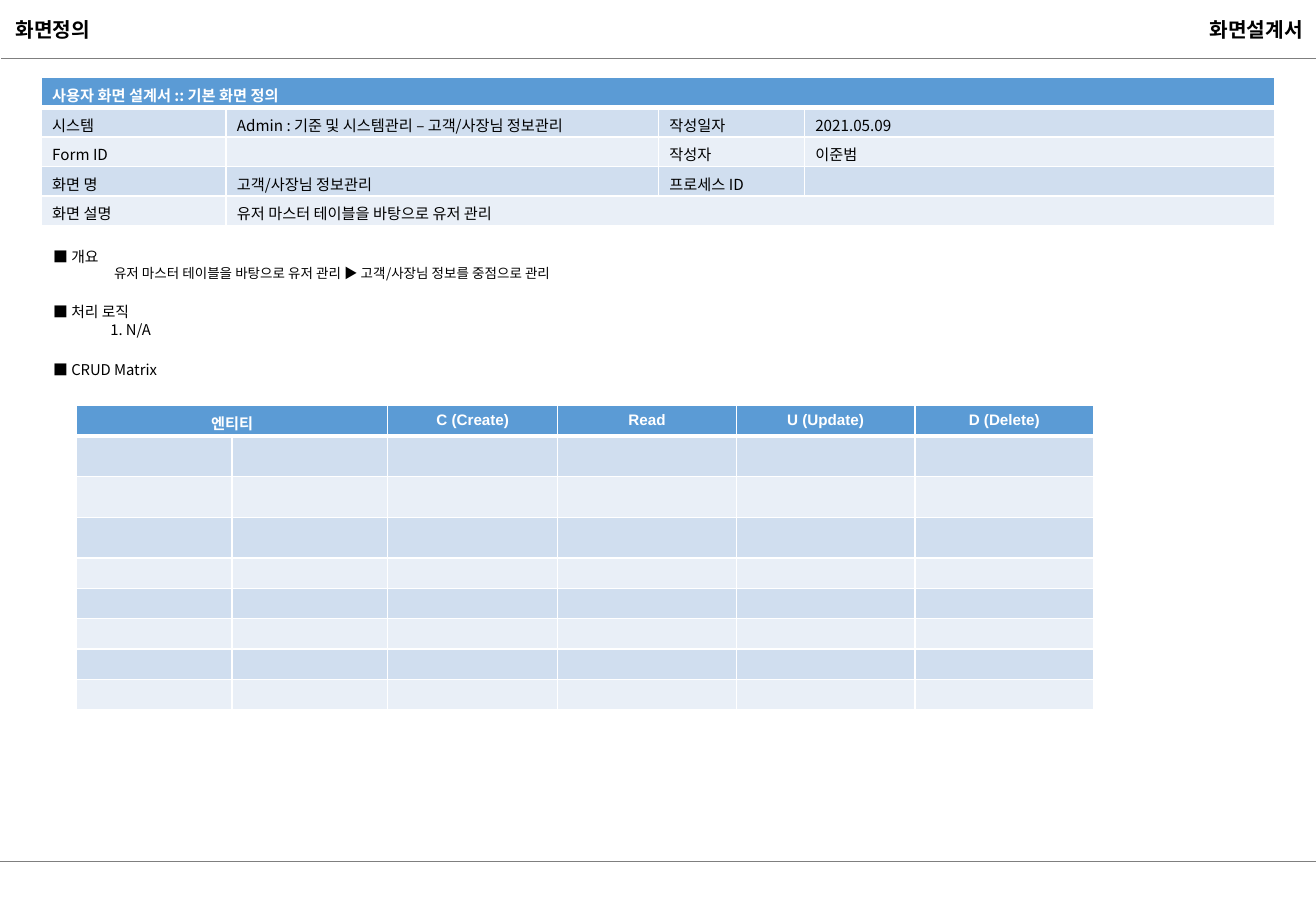
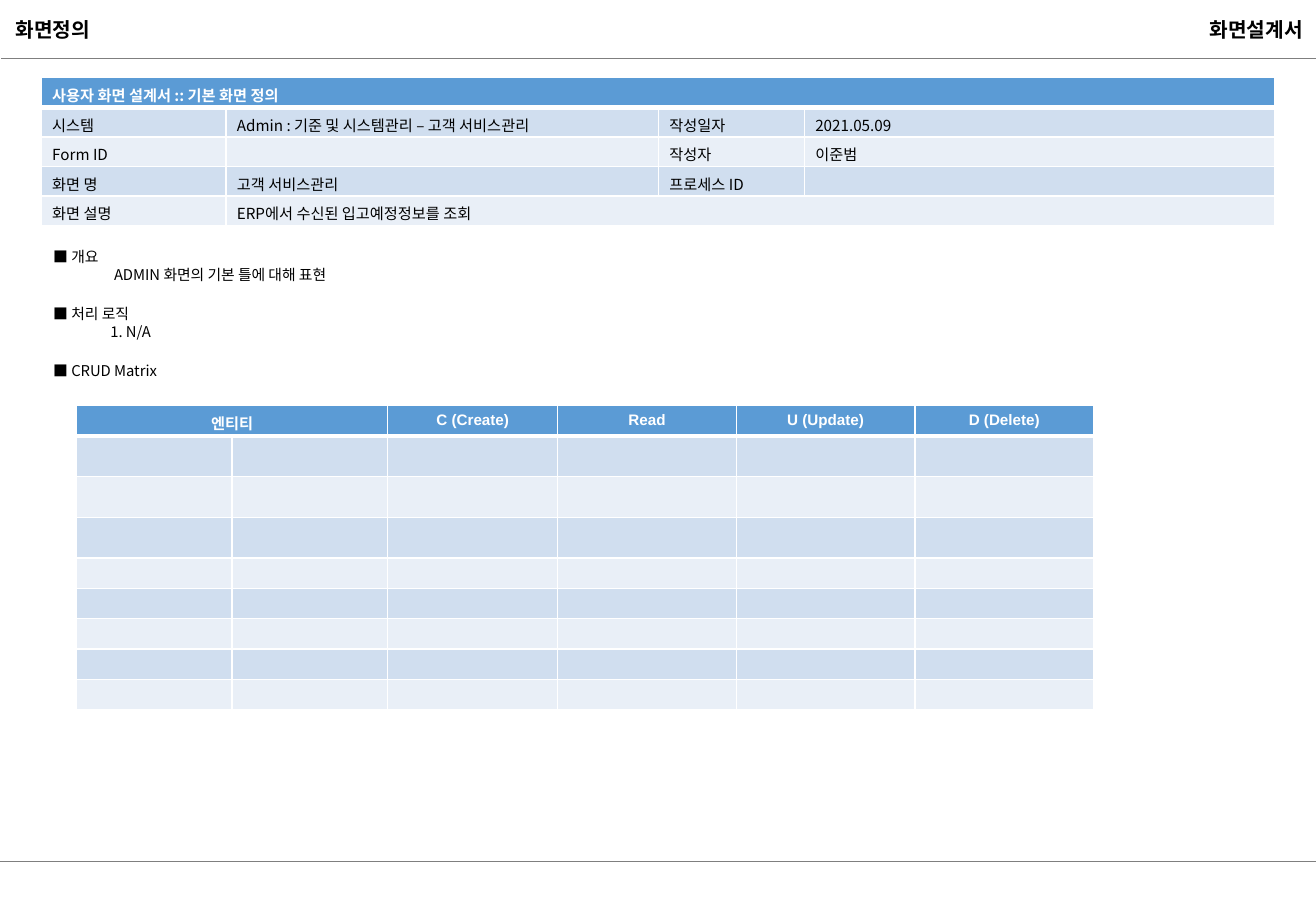
from lxml import etree
from pptx import Presentation
from pptx.dml.color import RGBColor
from pptx.enum.shapes import MSO_CONNECTOR
from pptx.enum.text import MSO_ANCHOR, MSO_AUTO_SIZE, PP_ALIGN
from pptx.oxml.ns import qn
from pptx.util import Inches, Pt

LEFT, CENTER, RIGHT = PP_ALIGN.LEFT, PP_ALIGN.CENTER, PP_ALIGN.RIGHT
STRAIGHT = MSO_CONNECTOR.STRAIGHT

BLACK = RGBColor(0x00, 0x00, 0x00)
WHITE = RGBColor(0xFF, 0xFF, 0xFF)
GREY = RGBColor(0x7F, 0x7F, 0x7F)
HEAD_BLUE = RGBColor(0x5B, 0x9B, 0xD5)
BANDS = (RGBColor(0xD0, 0xDE, 0xEF), RGBColor(0xE9, 0xEF, 0xF7))

KOREAN = "Noto Sans CJK KR"
WIDTH, HEIGHT = 10.83, 7.5
BODY_SIZE = 8.8
BLANK_LINE = 12.74

INFO_BOX = (0.34, 0.64, 10.15, 1.22)
NOTES_BOX = (0.34, 1.99, 10.16, 1.32)
CRUD_BOX = (0.63, 3.34, 8.37, 2.5)
INFO_COLS = (1.52, 3.56, 1.2, 3.87)
INFO_ROWS = (0.244,) * 5
CRUD_COLS = (1.28, 1.28, 1.4, 1.47, 1.47, 1.47)
CRUD_ROWS = (0.25,) + (0.335,) * 3 + (0.25,) * 5
CRUD_HEAD = ("엔티티", "", "C (Create)", "Read", "U (Update)", "D (Delete)")

SCREENS = (
    {"system": "Admin : 기준 및 시스템관리 – 고객/사장님 정보관리",
     "name": "고객/사장님 정보관리",
     "about": "유저 마스터 테이블을 바탕으로 유저 관리",
     "summary": "유저 마스터 테이블을 바탕으로 유저 관리 ▶ 고객/사장님 정보를 중점으로 관리",
     "summary_size": 8},
    {"system": "Admin : 기준 및 시스템관리 – 고객 서비스관리",
     "name": "고객 서비스관리",
     "about": "ERP에서 수신된 입고예정정보를 조회",
     "summary": "ADMIN 화면의 기본 틀에 대해 표현",
     "summary_size": BODY_SIZE},
)


def add_run(p, text, size, color=BLACK, bold=False, font=KOREAN):
    r = p.add_run()
    r.text = text
    r.font.size, r.font.bold, r.font.name = Pt(size), bold, font
    r.font.color.rgb = color
    ea = etree.SubElement(r.font._element, qn("a:ea"))
    ea.set("typeface", KOREAN)


def add_rule(s, x1, y, x2):
    line = s.shapes.add_connector(STRAIGHT, Inches(x1), Inches(y), Inches(x2), Inches(y))
    line.line.color.rgb = GREY
    line.line.width = Pt(0.75)
    etree.SubElement(line._element.spPr, qn("a:effectLst"))


def format_heading(sp, text, align, wrap):
    tf = sp.text_frame
    tf.word_wrap, tf.auto_size = wrap, MSO_AUTO_SIZE.NONE
    tf.vertical_anchor = MSO_ANCHOR.MIDDLE
    p = tf.paragraphs[0]
    p.alignment = align
    add_run(p, text, 12, bold=True)


def add_frame(s):
    """Place the headings and rules that every slide carries."""
    add_rule(s, 0, 7.09, WIDTH)
    add_rule(s, 0.01, 0.48, WIDTH)
    title = s.shapes.title
    title.left, title.top = Inches(0.03), Inches(0.09)
    title.width, title.height = Inches(0.87), Inches(0.3)
    format_heading(title, "화면정의", LEFT, False)
    sp = s.shapes.add_textbox(Inches(7.75), Inches(0.09), Inches(3.07), Inches(0.3))
    format_heading(sp, "화면설계서", RIGHT, True)


def set_borders(cell, top, bottom):
    """Draw white cell borders; must run before the fill is set."""
    tc_pr = cell._tc.get_or_add_tcPr()
    for side, width in (("L", 1), ("R", 1), ("T", top), ("B", bottom)):
        ln = etree.SubElement(tc_pr, qn(f"a:ln{side}"), w=str(Pt(width)))
        fill = etree.SubElement(ln, qn("a:solidFill"))
        etree.SubElement(fill, qn("a:srgbClr"), val=str(WHITE))


def add_banded_table(s, box, cols, rows, texts, margin, head_align=LEFT, head_font=KOREAN):
    shape = s.shapes.add_table(len(rows), len(cols), *map(Inches, box))
    table = shape.table
    table.first_row = table.horz_banding = False
    for col, width in zip(table.columns, cols):
        col.width = Inches(width)
    for i, height in enumerate(rows):
        table.rows[i].height = Inches(height)
        head = i == 0
        for j in range(len(cols)):
            cell = table.cell(i, j)
            set_borders(cell, 3 if i == 1 else 1, 3 if head else 1)
            cell.fill.solid()
            cell.fill.fore_color.rgb = HEAD_BLUE if head else BANDS[(i - 1) % 2]
            cell.margin_left = cell.margin_right = Inches(margin)
            cell.margin_top, cell.margin_bottom = Inches(0.05), 0
            p = cell.text_frame.paragraphs[0]
            text = texts[i][j] if i < len(texts) else ""
            if not text:
                p._p.get_or_add_endParaRPr().set("sz", "800")
                continue
            p.alignment = head_align if head else LEFT
            add_run(p, text, 9, WHITE if head else BLACK, head,
                    head_font if head else KOREAN)
    return table


def add_info_table(s, box, screen):
    texts = (
        ("사용자 화면 설계서 :: 기본 화면 정의", "", "", ""),
        ("시스템", screen["system"], "작성일자", "2021.05.09"),
        ("Form ID", "", "작성자", "이준범"),
        ("화면 명", screen["name"], "프로세스 ID", ""),
        ("화면 설명", screen["about"], "", ""),
    )
    table = add_banded_table(s, box, INFO_COLS, INFO_ROWS, texts, 0.09)
    table.cell(0, 0).merge(table.cell(0, 3))
    table.cell(4, 1).merge(table.cell(4, 3))


def add_notes(s, box, screen):
    """Write the section headings with their indented details."""
    lines = (
        ("■ 개요", BODY_SIZE, 0),
        (screen["summary"], screen["summary_size"], 0.5),
        ("■ 처리 로직", BODY_SIZE, 0),
        ("1. N/A", BODY_SIZE, 0.47),
        ("■ CRUD Matrix", BODY_SIZE, 0),
    )
    tf = s.shapes.add_textbox(*map(Inches, box)).text_frame
    tf.word_wrap = True
    for i, (text, size, indent) in enumerate(lines):
        p = tf.paragraphs[0] if i == 0 else tf.add_paragraph()
        if indent:
            p.level = 1
            p._p.get_or_add_pPr().set("marL", str(Inches(indent)))
            p._p.get_or_add_pPr().set("indent", "0")
        elif i:
            p.space_before = Pt(BLANK_LINE)
        add_run(p, text, size)


def add_crud_table(s, box):
    table = add_banded_table(s, box, CRUD_COLS, CRUD_ROWS, (CRUD_HEAD,), 0.1, CENTER, "Arial")
    table.cell(0, 0).merge(table.cell(0, 1))


def add_screen_slide(prs, screen):
    s = prs.slides.add_slide(prs.slide_layouts[5])
    add_frame(s)
    add_info_table(s, INFO_BOX, screen)
    add_notes(s, NOTES_BOX, screen)
    add_crud_table(s, CRUD_BOX)


def main():
    prs = Presentation()
    prs.slide_width, prs.slide_height = Inches(WIDTH), Inches(HEIGHT)
    for screen in SCREENS:
        add_screen_slide(prs, screen)
    prs.save("out.pptx")


if __name__ == "__main__":
    main()
